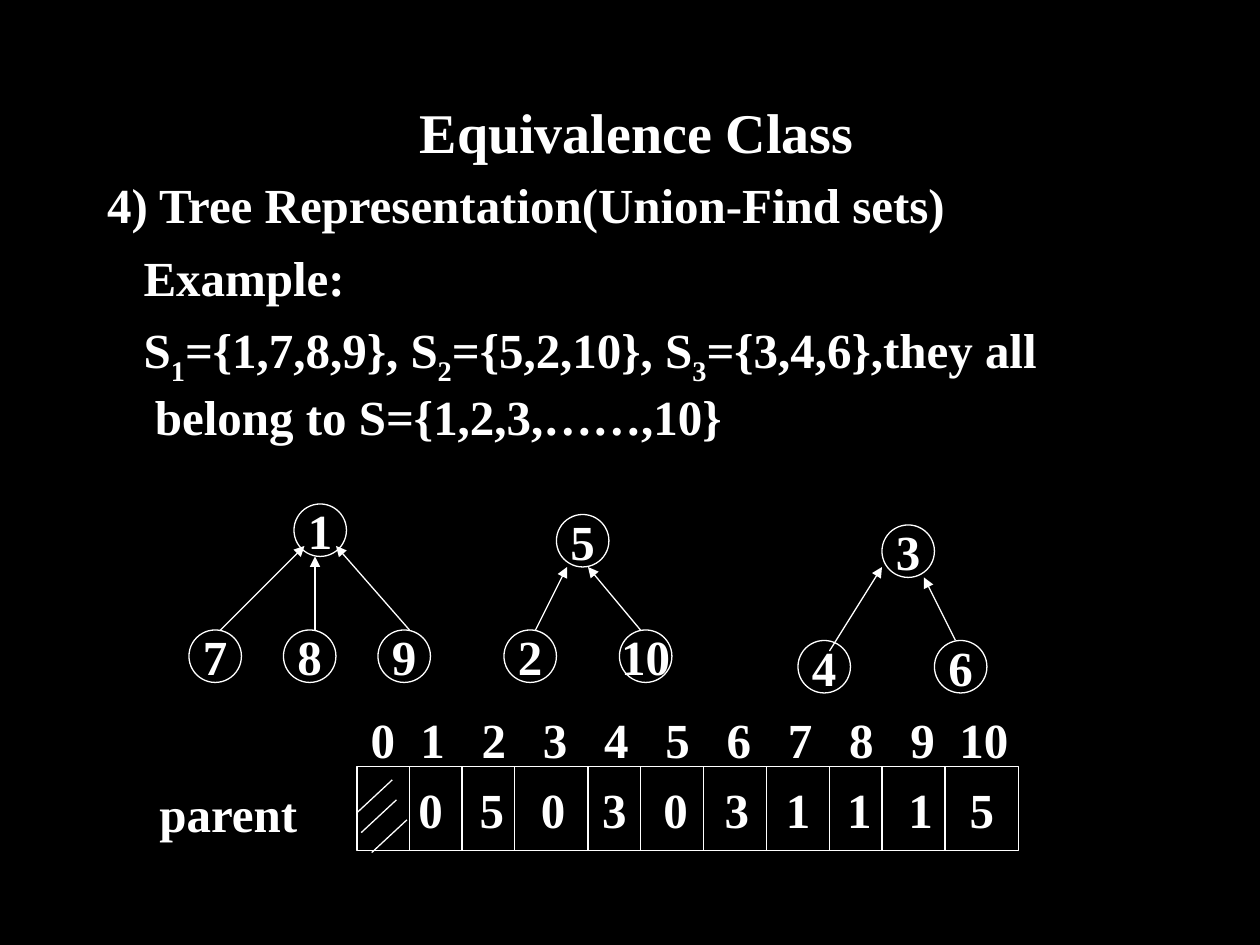
from lxml import etree
from pptx import Presentation
from pptx.dml.color import RGBColor
from pptx.enum.shapes import MSO_CONNECTOR, MSO_SHAPE
from pptx.enum.text import MSO_ANCHOR, MSO_AUTO_SIZE, PP_ALIGN
from pptx.oxml.ns import qn
from pptx.util import Inches, Pt

STRAIGHT = MSO_CONNECTOR.STRAIGHT
RECTANGLE, OVAL = MSO_SHAPE.RECTANGLE, MSO_SHAPE.OVAL
TOP, MIDDLE = MSO_ANCHOR.TOP, MSO_ANCHOR.MIDDLE
LEFT, CENTER = PP_ALIGN.LEFT, PP_ALIGN.CENTER
NO_FIT = MSO_AUTO_SIZE.NONE

FONT = "Times New Roman"
BLACK, WHITE = "000000", "FFFFFF"
COLUMNS = 120
NODE = 5
TAB_PITCH = 0.486

presentation = Presentation()
presentation.slide_width = Inches(10)
presentation.slide_height = Inches(7.5)
slide = presentation.slides.add_slide(presentation.slide_layouts[1])


def color(value):
    return RGBColor.from_string(value)


def grid(*cells):
    return [round(cell * presentation.slide_width / COLUMNS) for cell in cells]


def add_run(paragraph, text, size=28, baseline=0):
    run = paragraph.add_run()
    run.text = text
    run.font.name = FONT
    run.font.size = Pt(size)
    run.font.bold = True
    run.font.color.rgb = color(WHITE)
    if baseline:
        run.font._element.set("baseline", str(baseline))


def set_centered_tabs(paragraph, stops):
    tab_list = etree.SubElement(paragraph._p.get_or_add_pPr(), qn("a:tabLst"))
    for stop in stops:
        etree.SubElement(tab_list, qn("a:tab"), pos=str(Inches(stop)), algn="ctr")


def move(shape, left, top, width, height):
    shape.left, shape.top, shape.width, shape.height = grid(left, top, width, height)


def add_line(start, end, arrow=False):
    line = slide.shapes.add_connector(STRAIGHT, *grid(*start, *end))
    line.line.color.rgb = color(WHITE)
    line.line.width = Pt(0.75)
    if arrow:
        etree.SubElement(line.line._get_or_add_ln(), qn("a:tailEnd"), type="triangle")
    etree.SubElement(line._element.spPr, qn("a:effectLst"))


def add_outline(kind, left, top, width, height, alignment, wrap):
    shape = slide.shapes.add_shape(kind, *grid(left, top, width, height))
    shape.shadow.inherit = False
    shape.fill.background()
    shape.line.color.rgb = color(WHITE)
    shape.line.width = Pt(0.75)
    frame = shape.text_frame
    frame.word_wrap = wrap
    frame.vertical_anchor = MIDDLE
    paragraph = frame.paragraphs[0]
    paragraph.alignment = alignment
    return paragraph


def add_label(left, top, width, height):
    box = slide.shapes.add_textbox(*grid(left, top, width, height))
    box.text_frame.word_wrap = True
    return box.text_frame.paragraphs[0]


def fill_title(left, top, width, height):
    title = slide.shapes.title
    move(title, left, top, width, height)
    frame = title.text_frame
    frame.auto_size = NO_FIT
    frame.vertical_anchor = MIDDLE
    frame.paragraphs[0].alignment = CENTER
    add_run(frame.paragraphs[0], " Equivalence Class", 32)


def fill_body(left, top, width, height):
    body = slide.placeholders[1]
    move(body, left, top, width, height)
    frame = body.text_frame
    frame.auto_size = NO_FIT
    frame.vertical_anchor = TOP
    lines = [
        (-0.38, [("4) Tree Representation(Union-Find sets)", "")]),
        (-0.09, [("Example:", "")]),
        (-0.09, [("S", "1"), ("={1,7,8,9}, S", "2"), ("={5,2,10}, S", "3"),
                 ("={3,4,6},they all belong to S={1,2,3,……,10}", "")]),
    ]
    for index, (indent, pieces) in enumerate(lines):
        paragraph = frame.add_paragraph() if index else frame.paragraphs[0]
        paragraph.space_before = Pt(8)
        properties = paragraph._p.get_or_add_pPr()
        properties.set("marL", str(Inches(0.38)))
        properties.set("indent", str(Inches(indent)))
        etree.SubElement(properties, qn("a:buNone"))
        for text, subscript in pieces:
            add_run(paragraph, text)
            if subscript:
                add_run(paragraph, subscript, baseline=-25000)


def draw_tree(left, top, depth, root, children, arrows):
    root_text, root_column = root
    nodes = [(root_text, root_column, 0)]
    nodes += [(text, column, depth) for text, column in children]
    for text, column, row in nodes:
        paragraph = add_outline(OVAL, left + column, top + row, NODE, NODE, CENTER, False)
        add_run(paragraph, text)
    for (start_column, start_row), (end_column, end_row) in arrows:
        add_line((left + start_column, top + start_row),
                 (left + end_column, top + end_row), arrow=True)


def draw_parent_array(left, top, width, height):
    values = add_outline(RECTANGLE, left, top, width, height, LEFT, True)
    set_centered_tabs(values, [TAB_PITCH * step for step in range(1, 11)])
    add_run(values, "".join(f"\t{value}" for value in (0, 5, 0, 3, 0, 3, 1, 1, 1, 5)))
    for column in (5, 10, 15, 22, 27, 33, 39, 45, 50, 56):
        add_line((left + column, top), (left + column, top + height))

    add_run(add_label(left - 20, top + 1, 20, 6.8), "parent")
    indexes = add_label(left - 1, top - 6, width + 4, 6.8)
    set_centered_tabs(indexes, [0.19] + [0.1 + TAB_PITCH * step for step in range(1, 11)])
    add_run(indexes, "".join(f"\t{index}" for index in range(11)))

    for column, row in ((0, 4.4), (0.4, 6.3), (1.4, 8.2)):
        add_line((left + column + 3.36, top + row - 3.12), (left + column, top + row))


slide.background.fill.solid()
slide.background.fill.fore_color.rgb = color(BLACK)
fill_title(9, 8, 102, 9)
fill_body(9, 16, 102, 54)
draw_parent_array(34, 73, 63, 8)
draw_tree(18, 48, 12, ("1", 10), [("7", 0), ("8", 9), ("9", 18)],
          [((3, 12), (11, 4)), ((12, 12), (12, 5)), ((21, 12), (14, 4))])
draw_tree(48, 49, 11, ("5", 5), [("2", 0), ("10", 11)],
          [((3, 11), (6, 5)), ((13, 11), (8, 5))])
draw_tree(76, 50, 11, ("3", 8), [("4", 0), ("6", 13)],
          [((3, 12), (8, 4)), ((15, 11), (12, 5))])
presentation.save("out.pptx")
